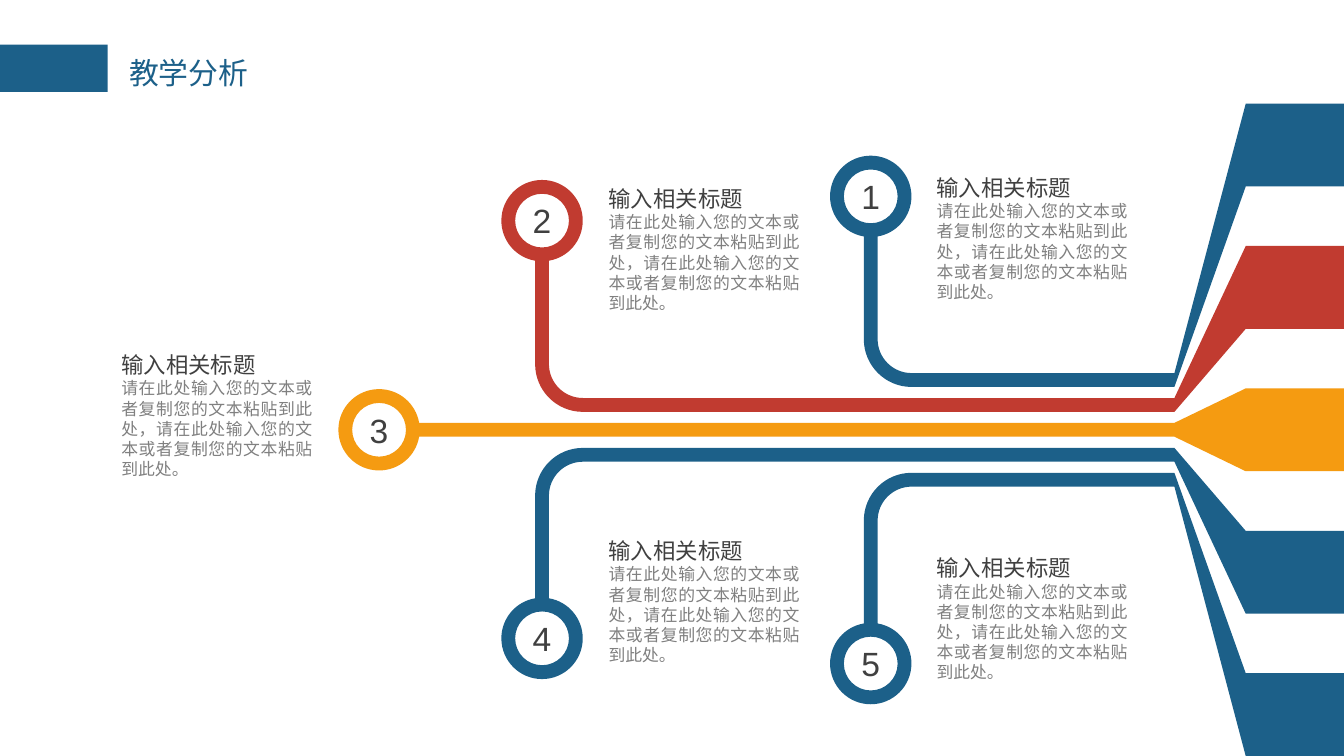
import math
from dataclasses import dataclass
from itertools import pairwise

import pptx
import pptx.dml.color
import pptx.enum.shapes
import pptx.enum.text
import pptx.oxml
import pptx.oxml.ns
import pptx.util

Pt = pptx.util.Pt
Color = pptx.dml.color.RGBColor
Align = pptx.enum.text.PP_ALIGN
Fit = pptx.enum.text.MSO_AUTO_SIZE
qn = pptx.oxml.ns.qn
SPACE = pptx.oxml.ns.nsdecls("a")

BLUE = Color(0x1C, 0x60, 0x89)
RED = Color(0xC1, 0x3B, 0x30)
GOLD = Color(0xF5, 0x9B, 0x11)
DARK = Color(0x40, 0x40, 0x40)
GREY = Color(0x80, 0x80, 0x80)

WIDE, HIGH = 720, 405
MID = 230.3
NECK, FAN = 629.2, 667.4
HALF, BAND = 3.7, 22.2
OUTER, INNER = 21.8, 14.4
BEND = 25.6
TRUNK_GAP, FAN_GAP = 13.35, 76.3

HEAD = "输入相关标题"
BODY = "请在此处输入您的文本或者复制您的文本粘贴到此处，请在此处输入您的文本或者复制您的文本粘贴到此处。"
CJK = "Noto Sans CJK SC"

Point = tuple[float, float]
Step = list[Point]


@dataclass
class Branch:
    label: str
    x: float
    y: float
    note_x: float
    note_y: float
    color: Color


BRANCHES = [
    Branch("1", 466.5, 105.2, 501.7, 93.2, BLUE),
    Branch("2", 290.4, 118.2, 326, 99.1, RED),
    Branch("3", 203.1, MID, 65, 188.2, GOLD),
    Branch("4", 290.4, 342, 326, 287.8, BLUE),
    Branch("5", 466.5, 355.5, 501.7, 297, BLUE),
]


def arc(x: float, y: float, size: float, turns: list[float], way: int) -> list[Step]:
    def spot(turn: float, pull: float) -> Point:
        c, s = math.cos(turn), math.sin(turn)
        return x + size * (c - pull * s), y + way * size * (s + pull * c)

    steps = [[spot(math.radians(turns[0]), 0)]]
    for a, b in pairwise(map(math.radians, turns)):
        pull = 4 / 3 * math.tan((b - a) / 4)
        steps.append([spot(a, pull), spot(b, -pull), spot(b, 0)])
    return steps


def outline(branch: Branch, row: int, way: int) -> list[Step]:
    trunk = MID + row * TRUNK_GAP
    fan = MID + row * FAN_GAP
    face = 90 if row else 0
    gap = math.degrees(math.asin(HALF / OUTER))
    turns = [face - gap, face - 90, face - 180, face - 270, face - 360 + gap]
    ring = arc(branch.x, branch.y, OUTER, turns, way)
    if row:
        x = branch.x - HALF + BEND
        y = trunk + way * (HALF - BEND)
        near = arc(x, y, BEND - 2 * HALF, [90, 180], way)
        far = arc(x, y, BEND, [180, 90], way)
        ring = near + ring + far
    low, high = fan - way * BAND, fan + way * BAND
    return [
        [(WIDE, low)], [(FAN, low)], [(NECK, trunk - way * HALF)],
        *ring,
        [(NECK, trunk + way * HALF)], [(FAN, high)], [(WIDE, high)],
    ]


def paint(shape, color: Color) -> None:
    shape.shadow.inherit = False
    shape.fill.solid()
    shape.fill.fore_color.rgb = color
    shape.line.fill.background()


def curve(shape, steps: list[Step]) -> None:
    lines = iter(list(shape._element.iter(qn("a:lnTo"))))
    for step in steps:
        group = [next(lines) for _ in step]
        if len(group) == 3:
            bend = pptx.oxml.parse_xml(f"<a:cubicBezTo {SPACE}/>")
            group[0].addprevious(bend)
            for line in group:
                bend.append(line[0])
                line.getparent().remove(line)


def draw(shapes, branch: Branch, row: int) -> None:
    way = 1 if row <= 0 else -1
    edge = outline(branch, row, way)
    hole = arc(branch.x, branch.y, INNER, [0, 90, 180, 270, 360], way)
    form = None
    for loop in (edge, hole):
        first, *rest = [(Pt(x), Pt(y)) for step in loop for x, y in step]
        if form is None:
            form = shapes.build_freeform(*first)
        else:
            form.move_to(*first)
        form.add_line_segments(rest, close=True)
    shape = form.convert_to_shape()
    curve(shape, edge[1:] + hole[1:])
    paint(shape, branch.color)


def style(para, face: str, size: float, color: Color) -> None:
    for run in para.runs:
        run.font.name = face
        run.font.size = Pt(size)
        run.font.color.rgb = color
        east = pptx.oxml.parse_xml(f'<a:ea {SPACE} typeface="{face}"/>')
        run.font._element.find(qn("a:latin")).addnext(east)


def frame(shapes, x: float, y: float, w: float, h: float, wrap: bool, pad: Point):
    box = shapes.add_textbox(Pt(x), Pt(y), Pt(w), Pt(h)).text_frame
    box.word_wrap = wrap
    box.auto_size = Fit.SHAPE_TO_FIT_TEXT
    box.margin_left = box.margin_right = Pt(pad[0])
    box.margin_top = box.margin_bottom = Pt(pad[1])
    return box


def note(shapes, branch: Branch) -> None:
    box = frame(shapes, branch.note_x, branch.note_y, 102.2, 69.1, True, (0, 0))
    box.text = f"{HEAD}\n{BODY}"
    head, body = box.paragraphs
    style(head, CJK, 12, DARK)
    style(body, CJK, 9, GREY)
    body.alignment = Align.JUSTIFY
    body.space_after = Pt(4.5)


def digit(shapes, branch: Branch) -> None:
    w, h = 24.4, 28.8
    box = frame(shapes, branch.x - w / 2, branch.y - h / 2, w, h, False, (7.2, 3.6))
    box.text = branch.label
    style(box.paragraphs[0], "Arial", 18, DARK)


def main() -> None:
    deck = pptx.Presentation()
    deck.slide_width, deck.slide_height = Pt(WIDE), Pt(HIGH)
    shapes = deck.slides.add_slide(deck.slide_layouts[6]).shapes

    kind = pptx.enum.shapes.MSO_SHAPE.RECTANGLE
    paint(shapes.add_shape(kind, 0, Pt(23.9), Pt(57.7), Pt(25.4)), BLUE)
    title = frame(shapes, 63.7, 26.6, 75.6, 25.2, False, (5.4, 2.7))
    title.text = "教学分析"
    style(title.paragraphs[0], "Calibri", 16, BLUE)

    for row, branch in enumerate(BRANCHES, -2):
        draw(shapes, branch, row)
    for branch in BRANCHES:
        note(shapes, branch)
    for branch in BRANCHES:
        digit(shapes, branch)

    deck.save("out.pptx")


if __name__ == "__main__":
    main()
